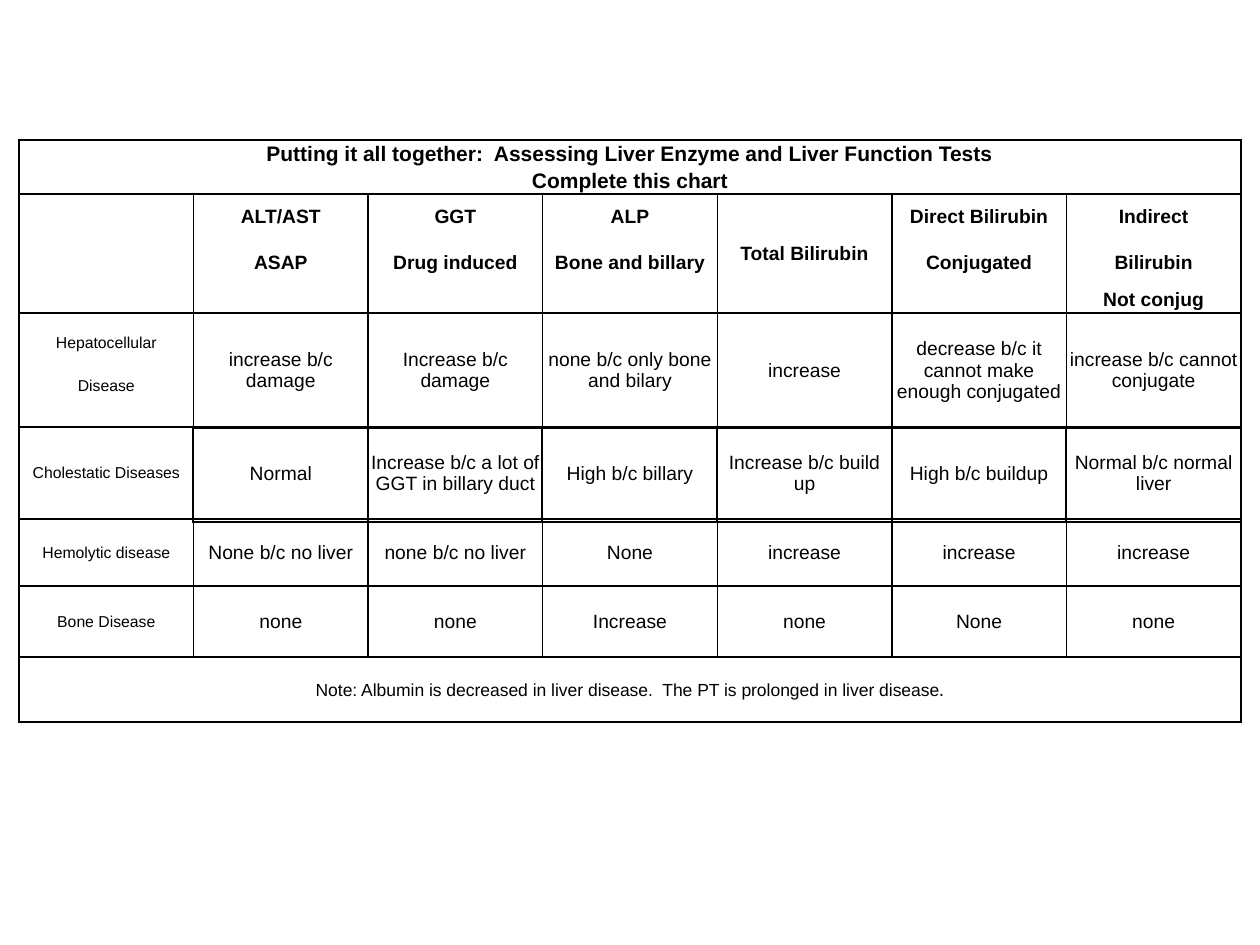
from dataclasses import dataclass
from pptx import Presentation
from pptx import util as u
from pptx.dml.color import RGBColor
from pptx.enum import text
from pptx.oxml.ns import qn
from lxml import etree

PX = u.Inches(1) // 126
INK = {"text": "000000", "line": "000000"}
COL = 1222 * PX // 7
SIDES = {"left": "a:lnL", "right": "a:lnR", "top": "a:lnT", "bottom": "a:lnB"}


@dataclass
class Row:
    high: int
    cells: list[str]
    size: int = 11
    bold: bool = False
    first: bool = True  # opens a band of rows
    last: bool = True  # closes a band of rows


def edge(cell, side: str, shown: bool) -> None:
    props = cell._tc.get_or_add_tcPr()
    line = etree.SubElement(props, qn(SIDES[side]), w=str(u.Pt(1)))
    if shown:
        fill = etree.SubElement(line, qn("a:solidFill"))
        etree.SubElement(fill, qn("a:srgbClr"), val=INK["line"])
    else:
        etree.SubElement(line, qn("a:noFill"))


def write(cell, words: str, size: int, bold: bool) -> None:
    cell.margin_left = cell.margin_right = cell.margin_top = u.Inches(0.01)
    cell.margin_bottom = 0
    cell.vertical_anchor = text.MSO_ANCHOR.MIDDLE
    para = cell.text_frame.paragraphs[0]
    para.alignment = text.PP_ALIGN.CENTER
    font = para.font
    font.name, font.size, font.bold = "Arial", u.Pt(size), bold
    font.color.rgb = RGBColor.from_string(INK["text"])
    if words:
        para.add_run().text = words
    else:  # keeps an empty cell from stretching its row
        etree.SubElement(para._p, qn("a:endParaRPr"), sz=str(size * 100))


def grid(slide, left: int, top: int, rows: list[Row]):
    wide = len(rows[0].cells)
    high = sum(row.high for row in rows)
    table = slide.shapes.add_table(len(rows), wide, left * PX, top * PX,
                                   COL * wide, high * PX).table
    table.first_row = table.horz_banding = False
    for col in table.columns:
        col.width = COL
    for r, row in enumerate(rows):
        table.rows[r].height = row.high * PX
        for c, words in enumerate(row.cells):
            cell = table.cell(r, c)
            write(cell, words, 9 if c == 0 and not row.bold else row.size, row.bold)
            for side in SIDES:
                edge(cell, side, {"top": row.first, "bottom": row.last}.get(side, True))
            cell.fill.background()
    return table


def full(words: str) -> list[str]:
    return [words] + [""] * 6


NOTE = "Note: Albumin is decreased in liver disease.  The PT is prolonged in liver disease"
ROWS = [
    # Title band
    Row(27, full("Putting it all together:  Assessing Liver Enzyme and Liver Function Tests"),
        12, True, last=False),
    Row(27, full("Complete this chart"), 12, True, first=False),
    # Column heads
    Row(45, ["", "ALT/AST", "GGT", "ALP", "Total Bilirubin", "Direct Bilirubin", "Indirect"],
        bold=True, last=False),
    Row(46, ["", "ASAP", "Drug induced", "Bone and billary", "", "Conjugated", "Bilirubin"],
        bold=True, first=False, last=False),
    Row(28, ["", "", "", "", "", "", "Not conjug"], bold=True, first=False),
    # Diseases
    Row(59, ["Hepatocellular", "increase b/c damage", "Increase b/c damage",
             "none b/c only bone and bilary", "increase",
             "decrease b/c it cannot make enough conjugated",
             "increase b/c cannot conjugate"], last=False),
    Row(27, full("Disease"), first=False, last=False),
    Row(28, full(""), first=False),
    Row(92, ["Cholestatic Diseases", "Normal", "Increase b/c a lot of GGT in billary duct",
             "High b/c billary", "Increase b/c build up", "High b/c buildup",
             "Normal b/c normal liver"]),
    Row(67, ["Hemolytic disease", "None b/c no liver", "none b/c no liver", "None",
             "increase", "increase", "increase"]),
    Row(71, ["Bone Disease", "none", "none", "Increase", "none", "None", "none"]),
    # Note
    Row(65, full(NOTE), 10),
]


def main() -> None:
    deck = Presentation()
    deck.slide_width, deck.slide_height = u.Inches(10), u.Inches(7.5)
    slide = deck.slides.add_slide(deck.slide_layouts[6])

    # Main chart and its merged cells
    table = grid(slide, 19, 140, ROWS)
    wide = [(r, 0, r, 6) for r in (0, 1, 11)]
    tall = [(2, c, 4, c) for c in (0, 4)] + [(5, c, 7, c) for c in range(1, 7)]
    for r, c, end, far in wide + tall:
        table.cell(r, c).merge(table.cell(end, far))

    # Note: larger full stop, size 10 as on the other words
    para = table.cell(11, 0).text_frame.paragraphs[0]
    para.runs[0].font.size = u.Pt(10)
    stop = para.add_run()
    stop.text, stop.font.size = ".", u.Pt(11)
    for r in (0, 11):
        table.cell(r, 0).text_frame.word_wrap = True

    # Frame over the cholestatic row
    grid(slide, 193, 428, [Row(94, [""] * 6)])
    deck.save("out.pptx")


if __name__ == "__main__":
    main()
